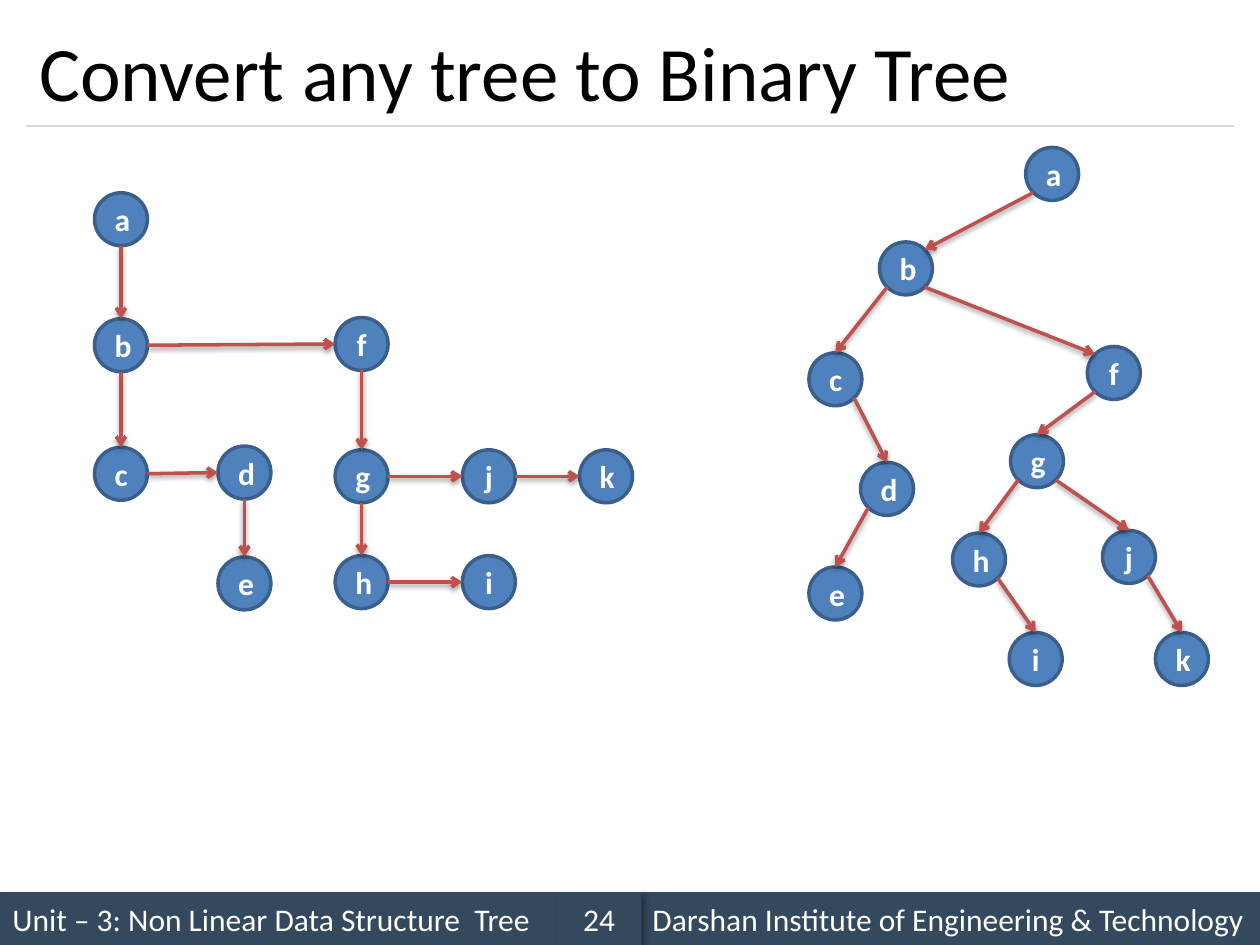
from math import cos, pi, sin

from lxml.etree import SubElement
from pptx import Presentation
from pptx.dml.color import RGBColor
from pptx.enum.shapes import MSO_CONNECTOR as Connector, MSO_SHAPE as Shape
from pptx.enum.text import MSO_ANCHOR as Anchor, MSO_AUTO_SIZE as AutoSize, PP_ALIGN as Align
from pptx.oxml.ns import qn
from pptx.util import Inches, Pt

TITLE = "Convert any tree to Binary Tree"
FOOTER = [
    ("Unit – 3: Non Linear Data Structure  Tree", 0, 4.42, Align.LEFT),
    ("Darshan Institute of Engineering & Technology", 5.08, 4.92, Align.LEFT),
    ("24", 4.42, 0.67, Align.CENTER),
]

TOP, TOP_LEFT, LEFT, BOTTOM_LEFT, BOTTOM, BOTTOM_RIGHT, RIGHT, TOP_RIGHT = range(8)
DOWN, ACROSS = (BOTTOM, TOP), (RIGHT, LEFT)
LEFT_CHILD, RIGHT_CHILD = (BOTTOM_LEFT, TOP), (BOTTOM_RIGHT, TOP)

SIBLING_TREE = {
    "nodes": {
        "a": (0.75, 1.53), "b": (0.75, 2.53), "c": (0.75, 3.55), "d": (1.73, 3.54),
        "e": (1.73, 4.42), "f": (2.66, 2.52), "g": (2.66, 3.57), "h": (2.66, 4.41),
        "i": (3.67, 4.41), "j": (3.67, 3.57), "k": (4.6, 3.57),
    },
    "edges": [
        ("ab", DOWN), ("bc", DOWN), ("de", DOWN), ("fg", DOWN), ("gh", DOWN),
        ("bf", ACROSS), ("cd", ACROSS), ("gj", ACROSS), ("jk", ACROSS), ("hi", ACROSS),
    ],
}
BINARY_TREE = {
    "nodes": {
        "a": (8.14, 1.17), "b": (6.98, 1.92), "c": (6.42, 2.8), "d": (6.83, 3.67),
        "e": (6.42, 4.5), "f": (8.63, 2.75), "g": (8.02, 3.45), "h": (7.56, 4.23),
        "i": (8.01, 5.02), "j": (8.75, 4.21), "k": (9.17, 5.02),
    },
    "edges": [
        ("ab", (BOTTOM_LEFT, TOP_RIGHT)), ("bf", (BOTTOM_RIGHT, TOP_LEFT)),
        ("bc", LEFT_CHILD), ("fg", LEFT_CHILD), ("gh", LEFT_CHILD), ("de", LEFT_CHILD),
        ("cd", RIGHT_CHILD), ("gj", RIGHT_CHILD), ("hi", RIGHT_CHILD), ("jk", RIGHT_CHILD),
    ],
}

COLORS = {
    "footer": "34495E", "rule": "D9D9D9", "node": "4F81BD", "outline": "3A5F8C",
    "arrow": "C0504D", "title": "000000", "light": "FFFFFF", "shadow": "000000",
}
FONT = "Calibri"
NODE_SIZE = 0.42
FOOTER_HEIGHT = 0.42
MARGIN = 0.21
RULE_TOP = 1


def color(name):
    return RGBColor.from_string(COLORS[name])


def add_effects(shape, shadow=None):
    effects = SubElement(shape._element.spPr, qn("a:effectLst"))
    if shadow:
        alpha, blur, distance, angle = shadow
        outer = SubElement(effects, qn("a:outerShdw"), blurRad=str(Pt(blur)), dist=str(Pt(distance)),
                           dir=str(angle * 60000), algn="ctr", rotWithShape="0")
        tint = SubElement(outer, qn("a:srgbClr"), val=COLORS["shadow"])
        SubElement(tint, qn("a:alpha"), val=str(alpha * 1000))


def write(shape, text, size, tone, align, bold=False):
    frame = shape.text_frame
    frame.word_wrap = True
    frame.auto_size = AutoSize.NONE
    frame.vertical_anchor = Anchor.MIDDLE
    paragraph = frame.paragraphs[0]
    paragraph.alignment = align
    run = paragraph.add_run()
    run.text = text
    run.font.name = FONT
    run.font.size = Pt(size)
    run.font.bold = bold
    run.font.color.rgb = color(tone)


def add_box(slide, kind, box, fill, outline=None, shadow=None):
    shape = slide.shapes.add_shape(kind, *map(Inches, box))
    shape.fill.solid()
    shape.fill.fore_color.rgb = color(fill)
    if outline:
        shape.line.color.rgb = color(outline)
        shape.line.width = Pt(2)
    else:
        shape.line.fill.background()
    add_effects(shape, shadow)
    return shape


def add_line(slide, start, end, tone, width):
    line = slide.shapes.add_connector(Connector.STRAIGHT, *map(Inches, start + end))
    line.line.color.rgb = color(tone)
    line.line.width = Pt(width)
    return line


def site_point(corner, site):
    radius = NODE_SIZE / 2
    angle = site * pi / 4
    return corner[0] + radius * (1 - sin(angle)), corner[1] + radius * (1 - cos(angle))


def add_tree(slide, tree):
    nodes = {}
    for letter, corner in tree["nodes"].items():
        node = add_box(slide, Shape.OVAL, corner + (NODE_SIZE, NODE_SIZE), "node", "outline")
        write(node, letter, 18, "light", Align.CENTER, bold=True)
        nodes[letter] = node
    for pair, sites in tree["edges"]:
        points = [site_point(tree["nodes"][letter], site) for letter, site in zip(pair, sites)]
        arrow = add_line(slide, *points, "arrow", 2)
        SubElement(arrow._element.spPr.get_or_add_ln(), qn("a:tailEnd"), type="arrow")
        add_effects(arrow, (38, 3.1, 1.6, 90))
        joints = arrow._element.nvCxnSpPr.cNvCxnSpPr
        for tag, letter, site in zip(("a:stCxn", "a:endCxn"), pair, sites):
            SubElement(joints, qn(tag), id=str(nodes[letter].shape_id), idx=str(site))


def main():
    presentation = Presentation()
    presentation.slide_width, presentation.slide_height = Inches(10), Inches(7.5)
    slide = presentation.slides.add_slide(presentation.slide_layouts[5])

    title = slide.shapes.title
    title.left, title.top, title.width, title.height = map(Inches, (MARGIN, 0.12, 10 - 2 * MARGIN, 0.88))
    write(title, TITLE, 44, "title", Align.LEFT)

    rule = add_line(slide, (MARGIN, RULE_TOP), (10 - MARGIN, RULE_TOP), "rule", 0.75)
    add_effects(rule)

    for text, left, width, align in FOOTER:
        box = (left, 7.5 - FOOTER_HEIGHT, width, FOOTER_HEIGHT)
        bar = add_box(slide, Shape.RECTANGLE, box, "footer", shadow=(40, 4, 3, 45))
        write(bar, text, 18, "light", align)

    for tree in (BINARY_TREE, SIBLING_TREE):
        add_tree(slide, tree)

    presentation.save("out.pptx")


if __name__ == "__main__":
    main()
